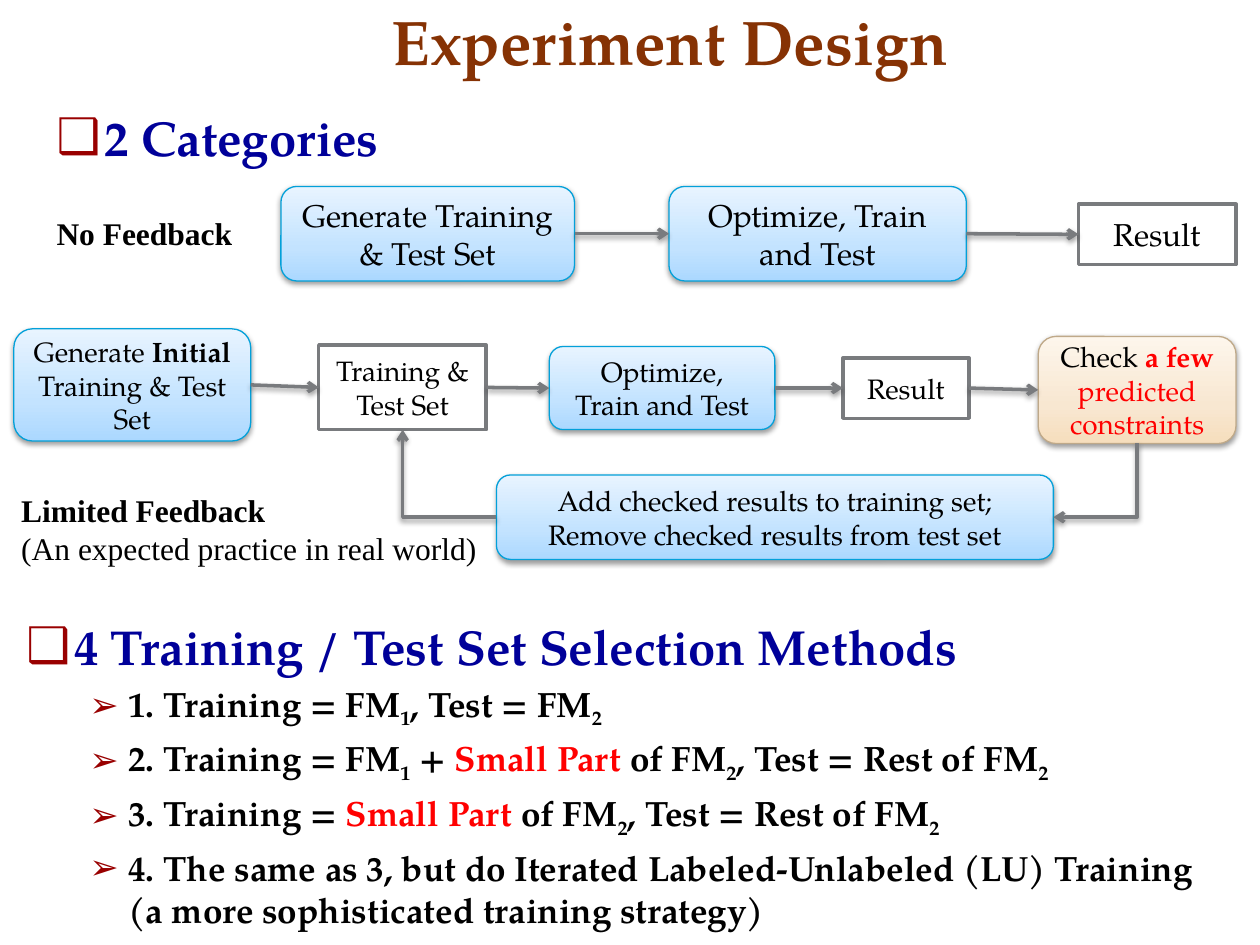
from itertools import pairwise

from lxml.etree import SubElement
from pptx import Presentation
from pptx.dml.color import RGBColor
from pptx.enum.shapes import MSO_CONNECTOR as Connector, MSO_SHAPE as Shape
from pptx.enum.text import MSO_ANCHOR as Anchor, MSO_AUTO_SIZE as AutoSize, PP_ALIGN as Align
from pptx.oxml.ns import qn
from pptx.util import Inches, Pt

SERIF = "TeX Gyre Pagella"
LABEL_FONT = "Times New Roman"
COLORS = {
    "title": "863204", "heading": "000099", "bullet": "990000",
    "text": "000000", "accent": "FF0000", "paper": "FFFFFF", "gray": "797B7E",
    "blue_line": "03A0D9", "tan_line": "BFA989",
}
GRADIENTS = {
    "blue": {0: "ABD8FF", 35: "C3E3FF", 100: "E8F4FF"},
    "tan": {0: "F6DEBD", 35: "F8E7D1", 100: "FDF6EC"},
}


def rgb(name):
    """Return the named colour."""
    return RGBColor.from_string(COLORS[name])


def add_run(paragraph, text, size, color="text", bold=False, font=SERIF, subscript=False):
    """Append one formatted run."""
    run = paragraph.add_run()
    run.text = text
    run.font.name, run.font.size, run.font.bold = font, Pt(size), bold
    run.font.color.rgb = rgb(color)
    if subscript:
        run.font._element.set("baseline", "-25000")


def add_shadow(properties):
    """Append a soft downward shadow to shape properties."""
    effects = properties.find(qn("a:effectLst"))
    if effects is None:
        effects = SubElement(properties, qn("a:effectLst"))
    shadow = SubElement(effects, qn("a:outerShdw"), blurRad="40000", dist="20000",
                        dir="5400000", rotWithShape="0")
    color = SubElement(shadow, qn("a:srgbClr"), val=COLORS["text"])
    SubElement(color, qn("a:alpha"), val="38000")


def fill_gradient(shape, stops):
    """Fill a shape with a gradient rising from its bottom edge."""
    shape.fill.gradient()
    shape.fill.gradient_angle = 90
    stop_list = shape._element.spPr.find(qn("a:gradFill")).find(qn("a:gsLst"))
    stop_list.clear()
    for position, color in stops.items():
        stop = SubElement(stop_list, qn("a:gs"), pos=str(position * 1000))
        SubElement(stop, qn("a:srgbClr"), val=color)


def add_node(slide, box, lines, size, style="blue"):
    """Add a flow box; each line is a list of (text, run options)."""
    plain = style == "plain"
    kind = Shape.RECTANGLE if plain else Shape.ROUNDED_RECTANGLE
    shape = slide.shapes.add_shape(kind, *map(Inches, box))
    shape.shadow.inherit = False
    if plain:
        shape.fill.solid()
        shape.fill.fore_color.rgb = rgb("paper")
    else:
        fill_gradient(shape, GRADIENTS[style])
        add_shadow(shape._element.spPr)
    shape.line.color.rgb = rgb("gray" if plain else f"{style}_line")
    shape.line.width = Pt(2 if plain else 0.75)
    frame = shape.text_frame
    frame.word_wrap, frame.vertical_anchor = True, Anchor.MIDDLE
    for index, line in enumerate(lines):
        paragraph = frame.add_paragraph() if index else frame.paragraphs[0]
        paragraph.alignment = Align.CENTER
        for text, options in line:
            add_run(paragraph, text, size, **options)
    return shape


def style_arrow(connector):
    """Give a connector its gray line, arrowhead and shadow."""
    connector.line.color.rgb = rgb("gray")
    connector.line.width = Pt(2)
    properties = connector._element.spPr
    SubElement(properties.find(qn("a:ln")), qn("a:tailEnd"), type="arrow")
    add_shadow(properties)


def link_row(slide, nodes):
    """Join neighbouring boxes from right side to left side."""
    for source, target in pairwise(nodes):
        connector = slide.shapes.add_connector(Connector.STRAIGHT, 0, 0, 0, 0)
        connector.begin_connect(source, 3)
        connector.end_connect(target, 1)
        style_arrow(connector)


def add_elbow(slide, start, end, rotation):
    """Add a one-bend arrow turned by a multiple of 90 degrees."""
    width, height = abs(end[0] - start[0]), abs(end[1] - start[1])
    if rotation % 180:
        width, height = height, width
    left = (start[0] + end[0] - width) // 2
    top = (start[1] + end[1] - height) // 2
    connector = slide.shapes.add_connector(Connector.ELBOW, left, top, left + width, top + height)
    properties = connector._element.spPr
    properties.find(qn("a:prstGeom")).set("prst", "bentConnector2")
    properties.find(qn("a:xfrm")).set("rot", str(rotation * 60000))
    style_arrow(connector)


def add_label(slide, box, lines):
    """Add a flow label made of (text, bold) lines."""
    frame = slide.shapes.add_textbox(*map(Inches, box)).text_frame
    frame.word_wrap = False
    for index, (text, bold) in enumerate(lines):
        paragraph = frame.add_paragraph() if index else frame.paragraphs[0]
        add_run(paragraph, text, 18, bold=bold, font=LABEL_FONT)


def place(shape, box):
    """Move a placeholder into a box."""
    shape.left, shape.top, shape.width, shape.height = map(Inches, box)
    shape.text_frame.auto_size = AutoSize.NONE
    return shape.text_frame


def add_title(slide, box):
    """Fill the title."""
    frame = place(slide.shapes.title, box)
    frame.vertical_anchor = Anchor.BOTTOM
    frame.paragraphs[0].alignment = Align.LEFT
    add_run(frame.paragraphs[0], "Experiment Design", 36, "title", True)


def format_bullet(paragraph, symbol, margin, hanging):
    """Set the indent and coloured bullet of a paragraph."""
    properties = paragraph._p.get_or_add_pPr()
    properties.set("marL", str(Inches(margin)))
    properties.set("indent", str(-Inches(hanging)))
    color = SubElement(properties, qn("a:buClr"))
    SubElement(color, qn("a:srgbClr"), val=COLORS["bullet"])
    SubElement(properties, qn("a:buChar"), char=symbol)


def add_list(placeholder, box, heading, items=()):
    """Fill a body placeholder with a heading and its items."""
    frame = place(placeholder, box)
    paragraph = frame.paragraphs[0]
    format_bullet(paragraph, "❑", 0.38, 0.38)
    add_run(paragraph, heading, 28, "heading", True)
    for item in items:
        paragraph = frame.add_paragraph()
        paragraph.level = 1
        format_bullet(paragraph, "➢", 0.81, 0.31)
        for text, options in item:
            add_run(paragraph, text, 20, bold=True, **options)


def add_direct_flow(slide, left, top):
    """Draw the flow without feedback."""
    nodes = [
        add_node(slide, (left + 1.88, top, 2.33, 0.75), [[("Generate Training & Test Set", {})]], 18),
        add_node(slide, (left + 4.96, top, 2.36, 0.75), [[("Optimize, Train and Test", {})]], 18),
        add_node(slide, (left + 8.21, top + 0.14, 1.25, 0.48), [[("Result", {})]], 18, "plain"),
    ]
    link_row(slide, nodes)
    add_label(slide, (left, top + 0.17, 1.61, 0.4), [("No Feedback", True)])


def add_feedback_flow(slide, left, top):
    """Draw the flow with the limited feedback loop."""
    generate = [("Generate ", {}), ("Initial", {"bold": True}), (" Training & Test Set", {})]
    check = [("Check ", {}), ("a few", {"color": "accent", "bold": True}),
             (" predicted constraints", {"color": "accent"})]
    nodes = [
        add_node(slide, (left, top, 1.88, 0.89), [generate], 16),
        add_node(slide, (left + 2.42, top + 0.13, 1.33, 0.67), [[("Training & Test Set", {})]], 16, "plain"),
        add_node(slide, (left + 4.25, top + 0.14, 1.79, 0.66), [[("Optimize, Train and Test", {})]], 16),
        add_node(slide, (left + 6.58, top + 0.23, 1, 0.48), [[("Result", {})]], 16, "plain"),
        add_node(slide, (left + 8.13, top + 0.06, 1.57, 0.85), [check], 16, "tan"),
    ]
    link_row(slide, nodes)
    update = add_node(slide, (left + 3.83, top + 1.16, 4.42, 0.67),
                      [[("Add checked results to training set;", {})],
                       [("Remove checked results from test set", {})]], 16)
    training, checking = nodes[1], nodes[-1]
    middle = update.top + update.height // 2
    add_elbow(slide, (checking.left + checking.width // 2, checking.top + checking.height),
              (update.left + update.width, middle), 90)
    add_elbow(slide, (update.left, middle),
              (training.left + training.width // 2, training.top + training.height), 180)
    add_label(slide, (left - 0.04, top + 1.24, 3.92, 0.71),
              [("Limited Feedback", True), ("(An expected practice in real world)", False)])


def main():
    """Build and save the slide."""
    presentation = Presentation()
    presentation.slide_width, presentation.slide_height = Inches(10), Inches(7.5)
    slide = presentation.slides.add_slide(presentation.slide_layouts[3])
    sub, red = {"subscript": True}, {"color": "accent"}
    rest = [("Small Part ", red), ("of FM", {}), ("2", sub), (", Test = Rest of FM", {}), ("2", sub)]
    methods = [
        [("1. Training = FM", {}), ("1", sub), (", Test = FM", {}), ("2", sub)],
        [("2. Training = FM", {}), ("1", sub), (" + ", {}), *rest],
        [("3. Training = ", {}), *rest],
        [("4. The same as 3, but do Iterated Labeled-Unlabeled (LU) Training "
          "(a more sophisticated training strategy)", {})],
    ]
    add_title(slide, (3.01, -0.03, 6.84, 0.7))
    add_list(slide.placeholders[1], (0.35, 0.8, 9.23, 3.76), "2 Categories")
    add_direct_flow(slide, 0.35, 1.48)
    add_feedback_flow(slide, 0.11, 2.61)
    add_list(slide.placeholders[2], (0.11, 4.84, 9.7, 3.76),
             "4 Training / Test Set Selection Methods", methods)
    presentation.save("out.pptx")


if __name__ == "__main__":
    main()
